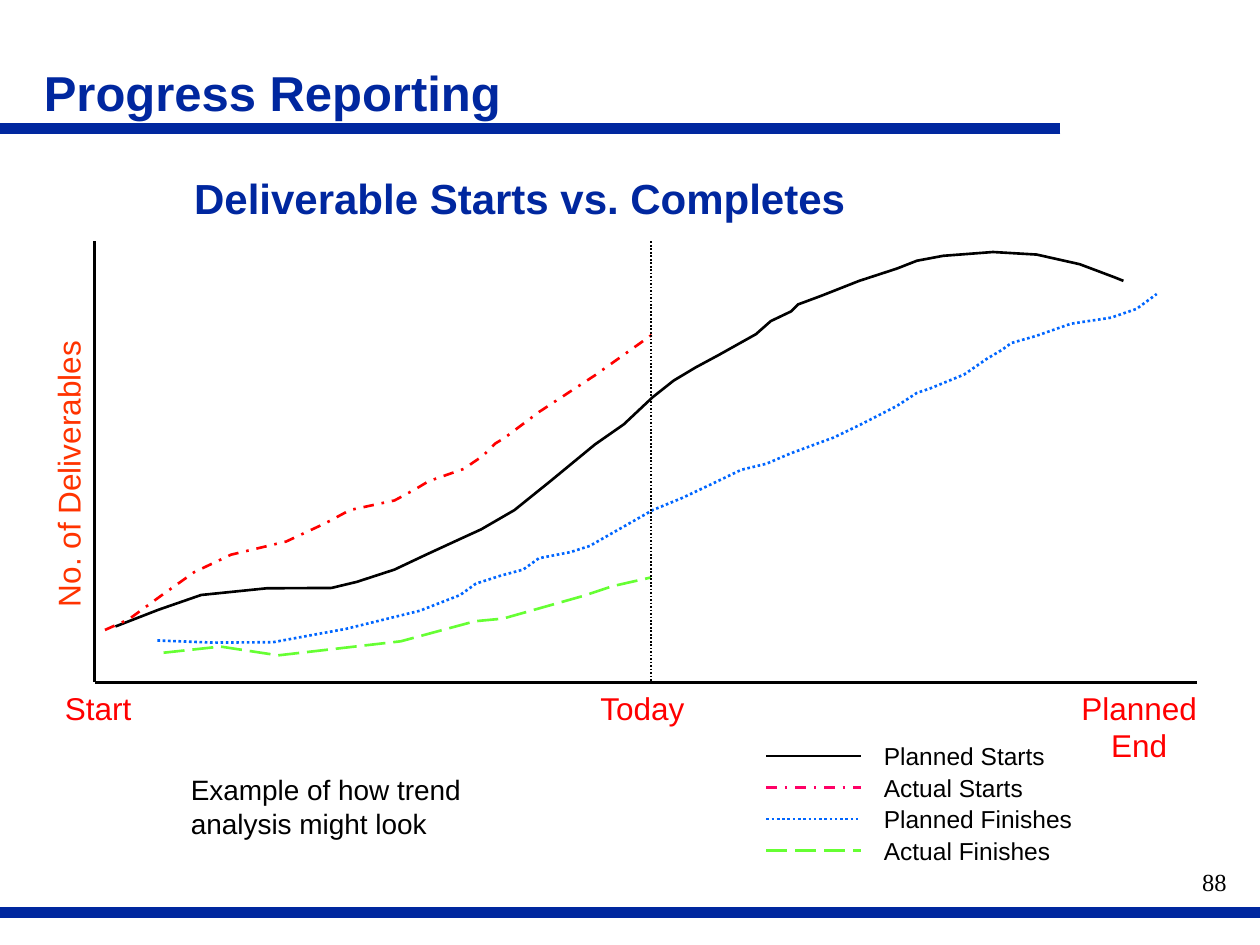
from pptx import Presentation
from pptx.dml.color import RGBColor
from pptx.enum.dml import MSO_LINE
from pptx.enum.shapes import MSO_CONNECTOR
from pptx.enum.text import MSO_ANCHOR, PP_ALIGN
from pptx.util import Pt
from lxml.etree import SubElement
from pptx.oxml.ns import qn

NAVY, RED, BLACK = "00279F", "FF0000", "000000"


def write(shape, text, size, color=BLACK, font="Arial", bold=False,
          align=PP_ALIGN.LEFT, anchor=MSO_ANCHOR.TOP, wrap=True, spacing=None):
    frame = shape.text_frame
    frame.word_wrap = wrap
    frame.vertical_anchor = anchor
    para = frame.paragraphs[0]
    para.alignment = align
    para.line_spacing = spacing
    span = para.add_run()
    span.text = text
    span.font.name = font
    span.font.size = Pt(size)
    span.font.bold = bold
    span.font.color.rgb = RGBColor.from_string(color)


def draw_line(start, end, color, width, dash=None):
    line = page.shapes.add_connector(MSO_CONNECTOR.STRAIGHT, *map(Pt, start + end))
    line.line.color.rgb = RGBColor.from_string(color)
    line.line.width = Pt(width)
    line.line.dash_style = dash
    SubElement(line.element.spPr, qn("a:effectLst"))


deck = Presentation()
deck.slide_width, deck.slide_height = Pt(720), Pt(540)
page = deck.slides.add_slide(deck.slide_layouts[5])

# Header and footer rules
draw_line((606, 73.5), (-2, 73.5), NAVY, 6)
draw_line((723, 521.5), (-4, 521.5), NAVY, 6)

# Headings
title = page.shapes.title
title.left, title.top, title.width, title.height = Pt(60), Pt(96), Pt(474), Pt(39)
write(title, "Deliverable Starts vs. Completes", 24, NAVY, bold=True,
      align=PP_ALIGN.CENTER, anchor=MSO_ANCHOR.MIDDLE, spacing=0.85)
heading = page.shapes.add_textbox(Pt(18), Pt(36), Pt(591), Pt(38))
write(heading, "Progress Reporting", 28, NAVY, bold=True,
      anchor=MSO_ANCHOR.MIDDLE, spacing=0.85)

# Trend curves: name, curve colour, legend colour, dash, points passed through
trends = [
    ("Planned Starts", BLACK, BLACK, None, [
        (66, 358), (90.5, 348.5), (115, 340), (152.5, 336.2), (189.5, 336),
        (204, 332.5), (225.5, 325.5), (243.5, 317), (263, 308), (275, 302.5),
        (294, 291.5), (314.5, 275), (340, 254), (356.5, 242.5), (373, 227),
        (385, 217.5), (397.5, 210), (410.5, 203), (432, 191), (440.5, 183.5),
        (452, 178), (456, 174), (469.5, 169), (491, 160.5), (512.5, 153.5),
        (524, 149), (539, 146.2), (567.5, 144), (592.5, 145.5), (617, 151),
        (637, 158.5), (642, 160.5)]),
    ("Actual Starts", RED, "FF0066", MSO_LINE.DASH_DOT, [
        (60, 360), (73.5, 354), (92, 340.5), (111, 327), (132, 317),
        (163.5, 309.5), (186, 299), (200, 291.5), (225.5, 286), (237.5, 279.5),
        (245, 275), (265, 268), (276, 260.5), (283, 253.5), (288, 250.5),
        (308, 235.5), (340, 214.5), (373, 191)]),
    ("Planned Finishes", "0066FF", "0066FF", MSO_LINE.ROUND_DOT, [
        (90, 366), (122, 367.2), (156, 367), (198, 359.3), (240, 349),
        (263, 340), (272, 333.5), (286, 329), (299, 325.5), (308, 319),
        (326, 315.5), (337, 312), (373, 291.5), (390, 284.5), (408, 276),
        (423.5, 268.5), (438, 265), (452, 259), (476.5, 250), (492, 242.5),
        (512.5, 232), (524, 224.5), (531.5, 222), (551, 214), (564, 205),
        (572.5, 200), (578, 196), (592, 192), (612, 185), (635, 181.5),
        (649.5, 176.5), (661, 168)]),
    ("Actual Finishes", "66FF33", "66FF33", MSO_LINE.LONG_DASH, [
        (93.5, 373), (126, 369.5), (159, 374.5), (229, 366.5), (271.5, 355),
        (287.5, 353.5), (333.5, 340.5), (350, 335), (372, 330)]),
]
for row, (name, color, key_color, dash, points) in enumerate(trends):
    start, *rest = [tuple(map(Pt, point)) for point in points]
    builder = page.shapes.build_freeform(*start)
    builder.add_line_segments(rest, close=False)
    curve = builder.convert_to_shape()
    curve.shadow.inherit = False
    curve.fill.background()
    curve.line.color.rgb = RGBColor.from_string(color)
    curve.line.width = Pt(1.5)
    curve.line.dash_style = dash

    # Legend row
    y = 432 + 18 * row
    draw_line((438, y), (492, y), key_color, 1.5, dash)
    label = page.shapes.add_textbox(Pt(498), Pt(y - 12), Pt(122), Pt(24))
    write(label, name, 14, wrap=False)

# Axes and the marker for today
draw_line((54, 138), (54, 390), BLACK, 2.25)
draw_line((54, 390), (684, 390), BLACK, 2.25)
draw_line((372, 138), (372, 390), BLACK, 1, MSO_LINE.ROUND_DOT)

# Axis labels
for text, left, width, align in [
    ("Start", 30, 72, PP_ALIGN.LEFT),
    ("Today", 336, 72, PP_ALIGN.LEFT),
    ("Planned End", 606, 90, PP_ALIGN.CENTER),
]:
    label = page.shapes.add_textbox(Pt(left), Pt(390), Pt(width), Pt(29))
    write(label, text, 18, RED, align=align)
axis_title = page.shapes.add_textbox(Pt(-63), Pt(237.5), Pt(204), Pt(29))
axis_title.rotation = 270
write(axis_title, "No. of Deliverables", 18, "FF3300")

# Remark and page number
remark = page.shapes.add_textbox(Pt(102), Pt(438), Pt(210), Pt(46))
write(remark, "Example of how trend analysis might look", 16)
number = page.shapes.add_textbox(Pt(558), Pt(492), Pt(150), Pt(36))
write(number, "88", 14, font="Times New Roman", align=PP_ALIGN.RIGHT)

deck.save("out.pptx")
